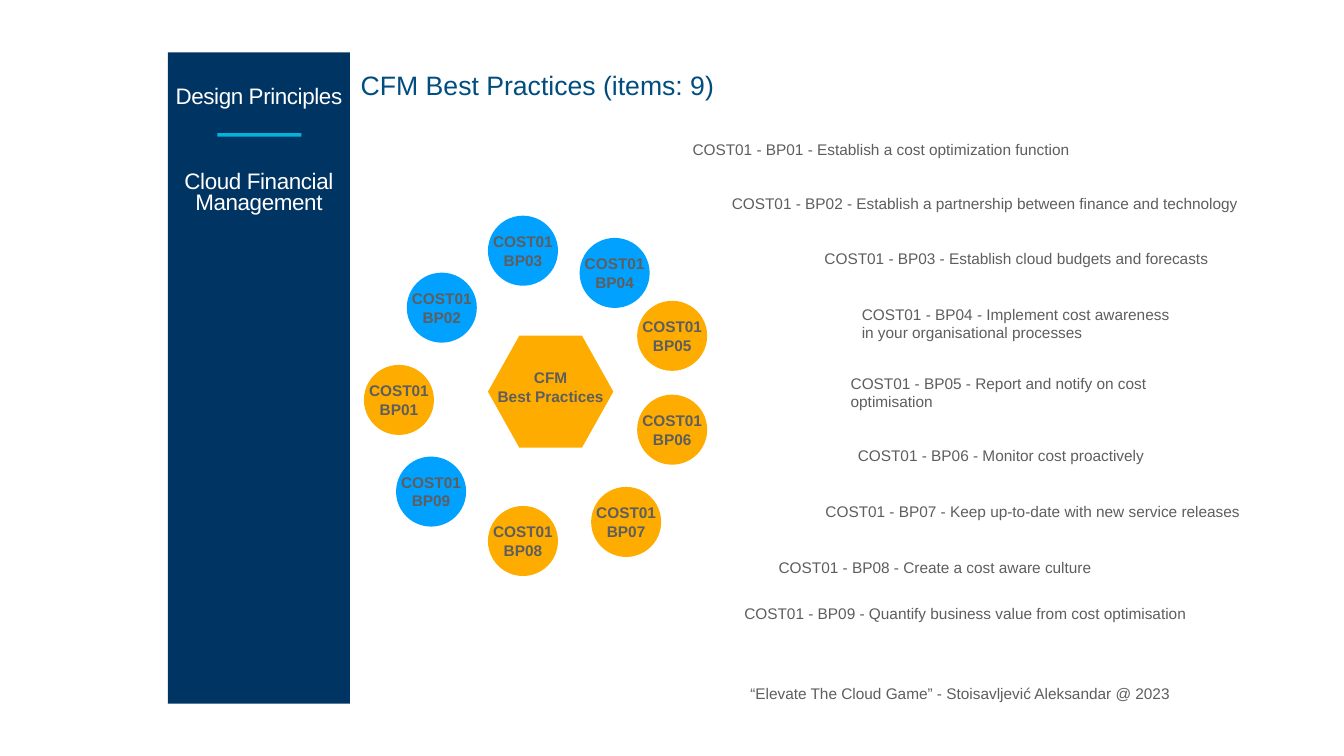
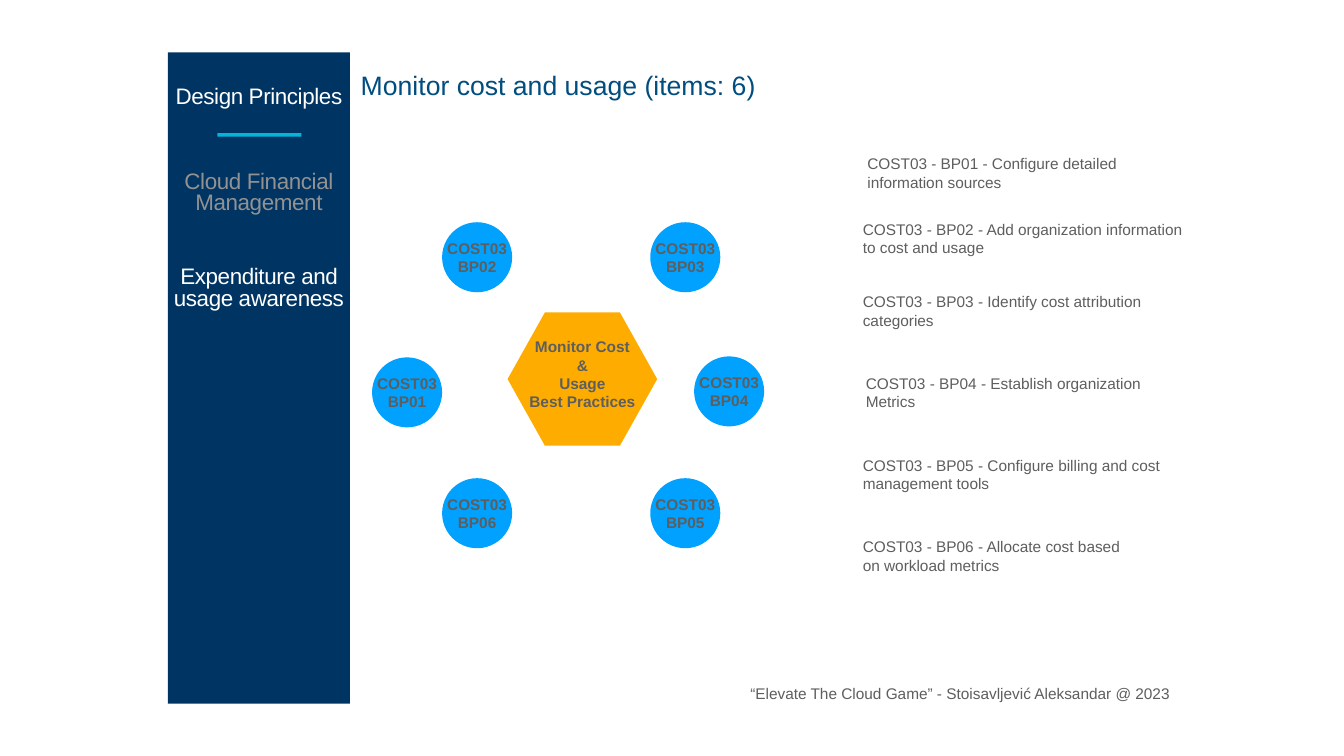
from pptx import Presentation
from pptx.dml.color import RGBColor
from pptx.enum.shapes import MSO_SHAPE
from pptx.enum.text import MSO_ANCHOR, MSO_AUTO_SIZE, PP_ALIGN
from pptx.util import Cm, Pt

RECTANGLE, OVAL, HEXAGON = MSO_SHAPE.RECTANGLE, MSO_SHAPE.OVAL, MSO_SHAPE.HEXAGON
MIDDLE, NO_AUTOFIT = MSO_ANCHOR.MIDDLE, MSO_AUTO_SIZE.NONE
LEFT, CENTER = PP_ALIGN.LEFT, PP_ALIGN.CENTER

NAVY = RGBColor(0x00, 0x34, 0x62)
CYAN = RGBColor(0x04, 0xB4, 0xDB)
HEADING_BLUE = RGBColor(0x00, 0x4D, 0x80)
CIRCLE_BLUE = RGBColor(0x00, 0xA1, 0xFF)
ORANGE = RGBColor(0xFE, 0xAD, 0x00)
TEXT_GREY = RGBColor(0x5E, 0x5E, 0x5E)
PAST_GREY = RGBColor(0x92, 0x92, 0x92)
WHITE = RGBColor(0xFF, 0xFF, 0xFF)

SIDEBAR_TITLE = "Design Principles"
FOOTER = "“Elevate The Cloud Game” - Stoisavljević Aleksandar @ 2023"
FINANCE = ("Cloud Financial", "Management")
EXPENDITURE = ("Expenditure and usage awareness",)

# Each practice: circle colour, circle (left, top), text (left, top, width), text lines
SLIDES = [
    {
        "heading": "CFM Best Practices (items: 9)",
        "sections": [FINANCE],
        "code": "COST01",
        "hub": ("CFM", "Best Practices"),
        "hub_box": (24.59, 16.92, 6.32, 5.64),
        "practices": [
            (ORANGE, (18.34, 18.39), (34.7, 6.86, 19.74),
             ("Establish a cost optimization function",)),
            (CIRCLE_BLUE, (20.5, 13.74), (36.68, 9.6, 26.19),
             ("Establish a partnership between finance and technology",)),
            (CIRCLE_BLUE, (24.59, 10.87), (41.35, 12.34, 20.04),
             ("Establish cloud budgets and forecasts",)),
            (CIRCLE_BLUE, (29.21, 11.99), (43.23, 15.16, 16.28),
             ("Implement cost awareness", "in your organisational processes")),
            (ORANGE, (32.11, 15.16), (42.67, 18.64, 15.77),
             ("Report and notify on cost", "optimisation")),
            (ORANGE, (32.11, 19.89), (43.03, 22.28, 15.11),
             ("Monitor cost proactively",)),
            (ORANGE, (29.79, 24.54), (41.4, 25.1, 21.56),
             ("Keep up-to-date with new service releases",)),
            (ORANGE, (24.59, 25.5), (39.04, 27.91, 16.28),
             ("Create a cost aware culture",)),
            (CIRCLE_BLUE, (19.96, 23.01), (37.31, 30.25, 22.99),
             ("Quantify business value from cost optimisation",)),
        ],
    },
    {
        "heading": "Monitor cost and usage (items: 6)",
        "sections": [FINANCE, EXPENDITURE],
        "code": "COST03",
        "hub": ("Monitor Cost", "&", "Usage", "Best Practices"),
        "hub_box": (25.58, 15.75, 7.54, 6.71),
        "practices": [
            (CIRCLE_BLUE, (18.75, 18.01), (43.51, 7.57, 13.34),
             ("Configure detailed", "information sources")),
            (CIRCLE_BLUE, (22.28, 11.2), (43.28, 10.87, 16.97),
             ("Add organization information", "to cost and usage")),
            (CIRCLE_BLUE, (32.77, 11.2), (43.28, 14.53, 14.96),
             ("Identify cost attribution", "categories")),
            (CIRCLE_BLUE, (34.98, 17.96), (43.43, 18.64, 14.58),
             ("Establish organization", "Metrics")),
            (CIRCLE_BLUE, (32.77, 24.1), (43.28, 22.76, 15.82),
             ("Configure billing and cost", "management tools")),
            (CIRCLE_BLUE, (22.28, 24.1), (43.28, 26.87, 13.82),
             ("Allocate cost based", "on workload metrics")),
        ],
    },
]

SIDEBAR_LEFT, SIDEBAR_WIDTH = 8.46, 9.17
SECTION_TOP, SECTION_STEP, SECTION_HEIGHT = 8, 4.8, 3.53
CIRCLE_SIZE = 3.53
LINE_HEIGHTS = {1: 1.32, 2: 2.29}
MARGIN, HUB_BOTTOM_MARGIN = 0.2, 0.7


def write_lines(shape, lines, size, color, align=LEFT, bold=False, wrap=True,
                tight=False, bottom=MARGIN):
    frame = shape.text_frame
    frame.word_wrap = wrap
    frame.auto_size = NO_AUTOFIT
    frame.vertical_anchor = MIDDLE
    frame.margin_left = frame.margin_right = frame.margin_top = Cm(MARGIN)
    frame.margin_bottom = Cm(bottom)
    for index, line in enumerate(lines):
        paragraph = frame.add_paragraph() if index else frame.paragraphs[0]
        paragraph.alignment = align
        run = paragraph.add_run()
        run.text = line
        run.font.name = "Arial"
        run.font.size = Pt(size)
        run.font.bold = bold
        run.font.color.rgb = color
        if tight:
            paragraph.line_spacing = 0.8
            run.font._element.set("spc", "-60")


def add_filled(slide, kind, box, color):
    shape = slide.shapes.add_shape(kind, *map(Cm, box))
    shape.shadow.inherit = False
    shape.fill.solid()
    shape.fill.fore_color.rgb = color
    shape.line.fill.background()
    return shape


def add_text(slide, box, lines, size, color, **style):
    write_lines(slide.shapes.add_textbox(*map(Cm, box)), lines, size, color, **style)


def add_sidebar(slide, sections):
    sidebar = add_filled(slide, RECTANGLE, (SIDEBAR_LEFT, 2.64, SIDEBAR_WIDTH, 32.82), NAVY)
    title = slide.shapes.title
    title._element.addprevious(sidebar._element)
    title.left, title.top = Cm(SIDEBAR_LEFT), Cm(3.18)
    title.width, title.height = Cm(SIDEBAR_WIDTH), Cm(SECTION_HEIGHT)
    write_lines(title, [SIDEBAR_TITLE], 32, WHITE, align=CENTER, tight=True)
    add_filled(slide, RECTANGLE, (10.95, 6.71, 4.24, 0.18), CYAN)
    for index, lines in enumerate(sections):
        box = (SIDEBAR_LEFT, SECTION_TOP + index * SECTION_STEP, SIDEBAR_WIDTH, SECTION_HEIGHT)
        color = WHITE if lines is sections[-1] else PAST_GREY
        add_text(slide, box, lines, 32, color, align=CENTER, tight=True)


def add_hub(slide, box, lines):
    hub = add_filled(slide, HEXAGON, box, ORANGE)
    hub.adjustments[0] = 0.28
    write_lines(hub, lines, 22, TEXT_GREY, align=CENTER, bold=True, wrap=False,
                bottom=HUB_BOTTOM_MARGIN)


def add_practice(slide, code, number, practice):
    color, position, (left, top, width), lines = practice
    name = f"BP{number:02}"
    circle = add_filled(slide, OVAL, (*position, CIRCLE_SIZE, CIRCLE_SIZE), color)
    write_lines(circle, [code, name], 22, TEXT_GREY, align=CENTER, bold=True, wrap=False)
    description = [f"{code} - {name} - {lines[0]}", *lines[1:]]
    add_text(slide, (left, top, width, LINE_HEIGHTS[len(lines)]), description, 22, TEXT_GREY)


def add_slide(presentation, content):
    slide = presentation.slides.add_slide(presentation.slide_layouts[5])
    add_sidebar(slide, content["sections"])
    add_text(slide, (37.57, 34.21, 21.62, 1.45), [FOOTER], 22, TEXT_GREY, align=CENTER)
    add_text(slide, (17.98, 3.14, 39.17, 2.24), [content["heading"]], 38, HEADING_BLUE)
    add_hub(slide, content["hub_box"], content["hub"])
    for number, practice in enumerate(content["practices"], start=1):
        add_practice(slide, content["code"], number, practice)


def main():
    presentation = Presentation()
    presentation.slide_width, presentation.slide_height = Cm(67.73), Cm(38.1)
    for content in SLIDES:
        add_slide(presentation, content)
    presentation.save("out.pptx")


if __name__ == "__main__":
    main()
